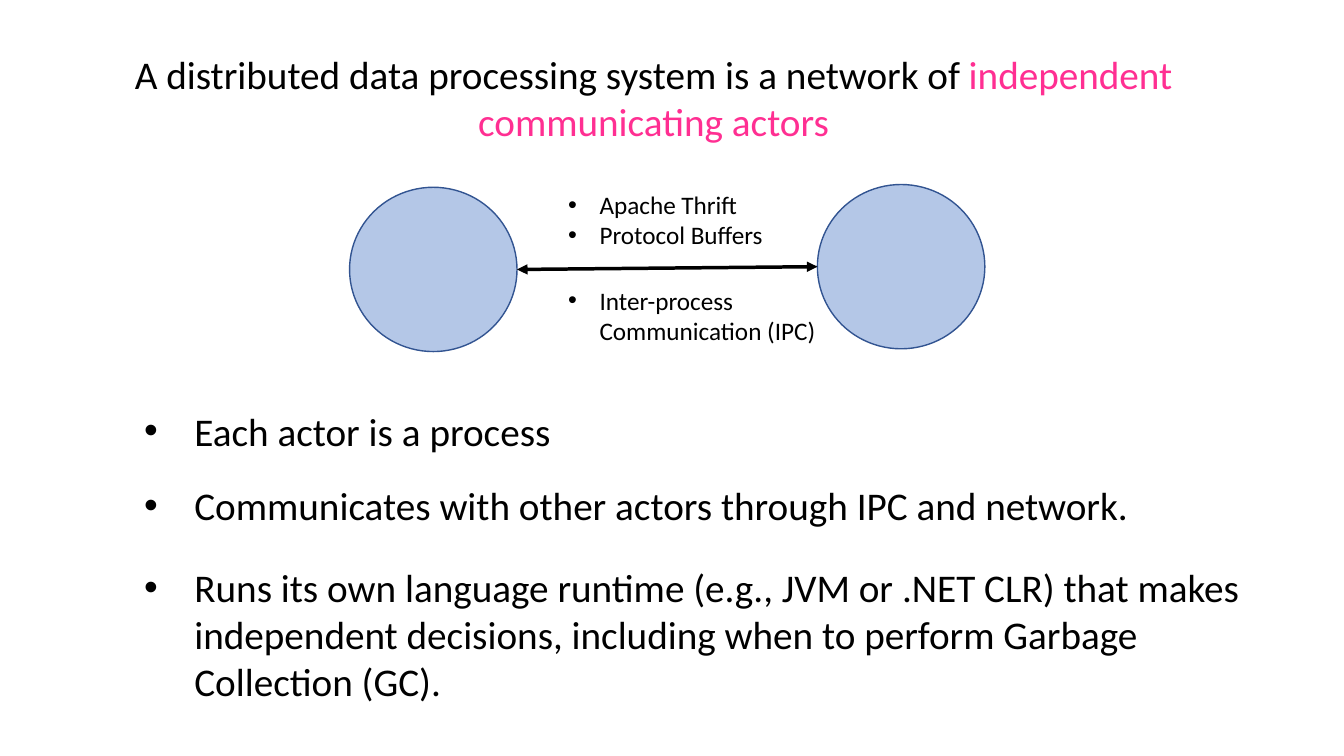
import pptx
import pptx.dml.color
import pptx.enum.shapes
import pptx.enum.text
import pptx.oxml.ns
import pptx.util
from lxml import etree
from pptx.util import Cm

BLACK = pptx.dml.color.RGBColor(0x00, 0x00, 0x00)
PINK = pptx.dml.color.RGBColor(0xFF, 0x2F, 0x92)
ACTOR_FILL = pptx.dml.color.RGBColor(0xB4, 0xC7, 0xE7)
ACTOR_LINE = pptx.dml.color.RGBColor(0x32, 0x54, 0x91)

FONT = "Calibri"
MAIN_SIZE = 28
LABEL_SIZE = 18
MAIN_INDENT = Cm(1.27)
LABEL_INDENT = Cm(0.79)

ACTOR_WIDTH, ACTOR_HEIGHT = Cm(4.22), Cm(4.14)


def add_child(parent, tag, **attributes):
    return etree.SubElement(parent, pptx.oxml.ns.qn(tag), attributes)


def style_font(font, size, color=BLACK):
    font.name = FONT
    font.size = pptx.util.Pt(size)
    font.color.rgb = color


def set_title(page):
    title = page.shapes.title
    title.left, title.top = Cm(2.36), Cm(1.14)
    title.width, title.height = Cm(28.22), Cm(2.64)
    frame = title.text_frame
    frame.word_wrap = True
    frame.auto_size = pptx.enum.text.MSO_AUTO_SIZE.NONE
    frame.vertical_anchor = pptx.enum.text.MSO_ANCHOR.TOP
    para = frame.paragraphs[0]
    para.alignment = pptx.enum.text.PP_ALIGN.CENTER
    para.line_spacing = 1.0
    parts = (
        ("A distributed data processing system is a network of", BLACK),
        (" independent communicating actors", PINK),
    )
    for text, color in parts:
        span = para.add_run()
        span.text = text
        style_font(span.font, MAIN_SIZE, color)


def add_actor(page, left, top):
    actor = page.shapes.add_shape(
        pptx.enum.shapes.MSO_SHAPE.OVAL, left, top, ACTOR_WIDTH, ACTOR_HEIGHT)
    actor.shadow.inherit = False
    actor.fill.solid()
    actor.fill.fore_color.rgb = ACTOR_FILL
    actor.line.color.rgb = ACTOR_LINE
    actor.line.width = pptx.util.Pt(1)
    return actor


def link_actors(page, start, end):
    """Draw a two-headed arrow from the right of start to the left of end."""
    arrow = page.shapes.add_connector(
        pptx.enum.shapes.MSO_CONNECTOR.STRAIGHT,
        start.left + start.width, start.top + start.height // 2,
        end.left, end.top + end.height // 2)
    arrow.line.color.rgb = BLACK
    arrow.line.width = pptx.util.Pt(2.5)
    outline = arrow.line._get_or_add_ln()
    for tag in ("a:headEnd", "a:tailEnd"):
        add_child(outline, tag, type="triangle")
    add_child(arrow._element.spPr, "a:effectLst")


def add_bullets(page, left, top, width, height, lines, size, indent):
    box = page.shapes.add_textbox(left, top, width, height)
    frame = box.text_frame
    frame.word_wrap = True
    for number, line in enumerate(lines):
        para = frame.add_paragraph() if number else frame.paragraphs[0]
        para.text = line
        properties = para._p.get_or_add_pPr()
        properties.set("marL", str(indent))
        properties.set("indent", str(-indent))
        add_child(properties, "a:buFont", typeface="Arial")
        add_child(properties, "a:buChar", char="•")
        for span in para.runs:
            style_font(span.font, size)


def main():
    deck = pptx.Presentation()
    deck.slide_width, deck.slide_height = Cm(33.87), Cm(19.05)
    page = deck.slides.add_slide(deck.slide_layouts.get_by_name("Title Only"))
    set_title(page)

    left_actor = add_actor(page, Cm(8.81), Cm(4.72))
    right_actor = add_actor(page, Cm(20.6), Cm(4.65))
    link_actors(page, left_actor, right_actor)

    labels = (
        (Cm(4.65), ["Apache Thrift", "Protocol Buffers"]),
        (Cm(7.06), ["Inter-process\nCommunication (IPC)"]),
    )
    for top, lines in labels:
        add_bullets(page, Cm(14.07), top, Cm(6.83), Cm(1.8),
                    lines, LABEL_SIZE, LABEL_INDENT)

    statements = (
        (Cm(10.13), Cm(1.45), "Each actor is a process"),
        (Cm(12.01), Cm(1.45),
         "Communicates with other actors through IPC and network."),
        (Cm(14.07), Cm(3.84),
         "Runs its own language runtime (e.g., JVM or .NET CLR) that makes "
         "independent decisions, including when to perform Garbage "
         "Collection (GC)."),
    )
    for top, height, statement in statements:
        add_bullets(page, Cm(3.38), top, Cm(28.22), height,
                    [statement], MAIN_SIZE, MAIN_INDENT)

    deck.save("out.pptx")


if __name__ == "__main__":
    main()
